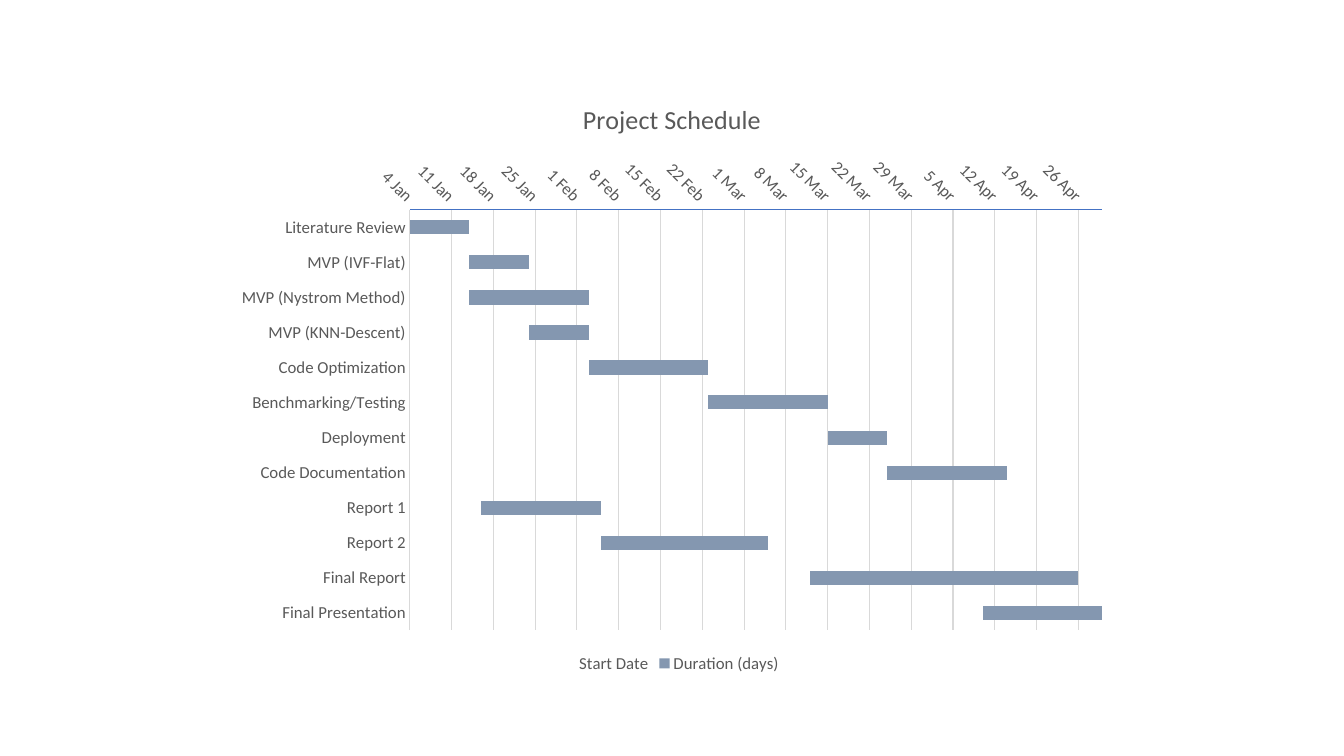
from pptx import Presentation
from pptx.chart.data import CategoryChartData as ChartData
from pptx.dml.color import RGBColor
from pptx.enum.chart import XL_CHART_TYPE as Kind, XL_LEGEND_POSITION as Place
from pptx.enum.chart import XL_TICK_MARK as Tick
from pptx.util import Inches, Pt

FONT = "Calibri"
GREY, RULE, BLUE, BAR = "595959", "D9D9D9", "4472C4", "8497B0"

# Dates are day numbers as in a spreadsheet: 44200 is 4 January 2021
FIRST, LAST, WEEK = 44200, 44316, 7

# Task, days after the first date, duration in days
TASKS = [
    ("Literature Review", 0, 10),
    ("MVP (IVF-Flat)", 10, 10),
    ("MVP (Nystrom Method)", 10, 20),
    ("MVP (KNN-Descent)", 20, 10),
    ("Code Optimization", 30, 20),
    ("Benchmarking/Testing", 50, 20),
    ("Deployment", 70, 10),
    ("Code Documentation", 80, 20),
    ("Report 1", 12, 20),
    ("Report 2", 32, 28),
    ("Final Report", 67, 45),
    ("Final Presentation", 96, 20),
]


def color(code):
    return RGBColor.from_string(code)


def style(font, size=12, code=GREY, bold=False):
    font.name, font.size, font.bold = FONT, Pt(size), bold
    font.color.rgb = color(code)


def put_text(frame, text, **fmt):
    frame.text = text
    style(frame.paragraphs[0].runs[0].font, **fmt)


def draw_line(line, code):
    line.color.rgb = color(code)
    line.width = Pt(0.75)


def set_axis(axis, code):
    axis.major_tick_mark = axis.minor_tick_mark = Tick.NONE
    style(axis.tick_labels.font)
    draw_line(axis.format.line, code)


def set_dates(axis):
    set_axis(axis, BLUE)
    axis.minimum_scale, axis.maximum_scale = FIRST, LAST
    axis.major_unit = WEEK
    axis.has_major_gridlines = True
    draw_line(axis.major_gridlines.format.line, RULE)
    labels = axis.tick_labels
    labels.number_format, labels.number_format_is_linked = r"d\ mmm", False
    # Slant the labels by 45 degrees (in 60000ths of a degree)
    axis._element.txPr.bodyPr.set("rot", str(45 * 60000))


def set_bars(plot):
    plot.gap_width, plot.overlap = 150, 100
    plot.vary_by_categories = False
    start, span = plot.series
    start.format.fill.background()
    start.format.line.fill.background()
    span.format.fill.solid()
    span.format.fill.fore_color.rgb = color(BAR)


def add_gantt(slide, box):
    names, starts, spans = zip(*TASKS)
    data = ChartData()
    data.categories = names
    data.add_series("Start Date", [FIRST + day for day in starts])
    data.add_series("Duration (days)", spans)
    chart = slide.shapes.add_chart(Kind.BAR_STACKED, *map(Inches, box), data).chart
    style(chart.font, size=10, code="000000")

    # Title and legend
    chart.has_title = True
    put_text(chart.chart_title.text_frame, "Project Schedule", size=18.6)
    chart.has_legend = True
    chart.legend.position = Place.BOTTOM
    chart.legend.include_in_layout = False
    style(chart.legend.font)

    # Axes: first task on top, dates above the bars
    set_axis(chart.category_axis, RULE)
    chart.category_axis.reverse_order = True
    set_dates(chart.value_axis)
    set_bars(chart.plots[0])


def main():
    deck = Presentation()
    deck.slide_width, deck.slide_height = Inches(13.33), Inches(7.5)
    slide = deck.slides.add_slide(deck.slide_layouts[6])
    add_gantt(slide, (2.22, 0.79, 8.89, 5.93))
    deck.save("out.pptx")


main()
